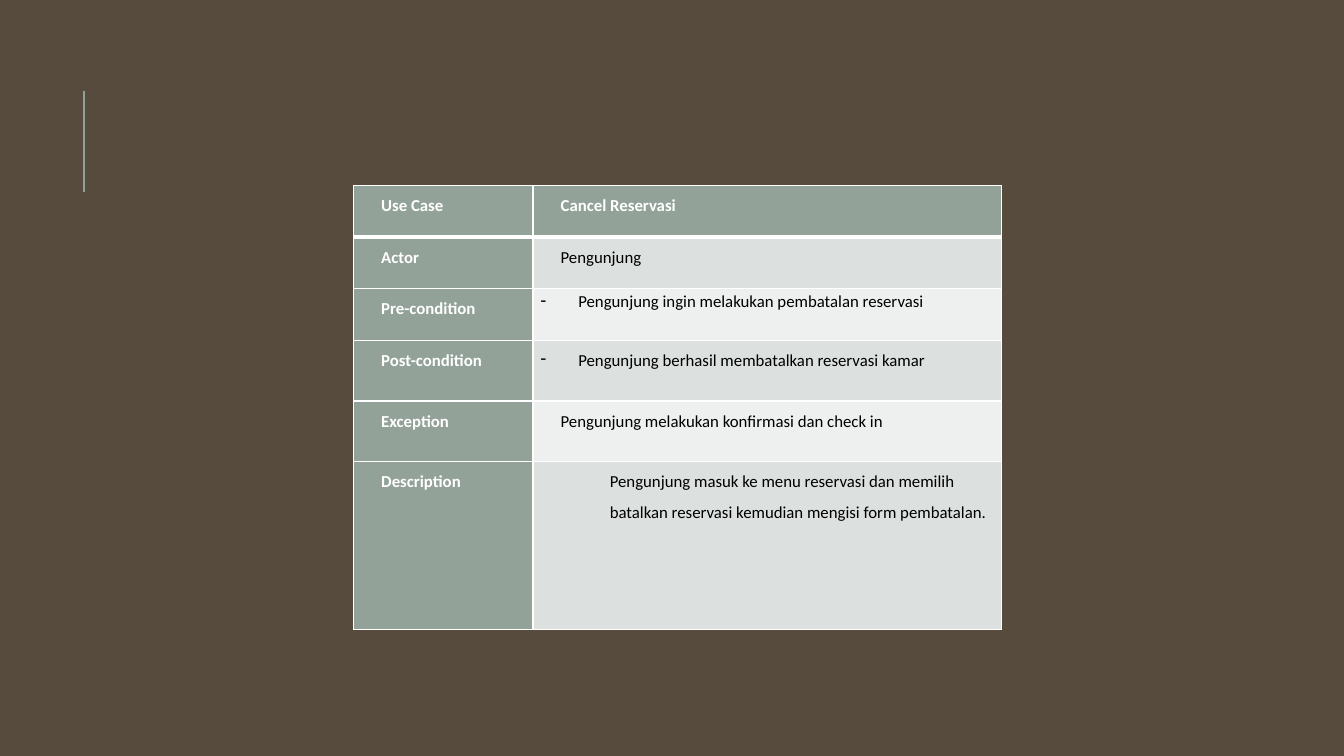
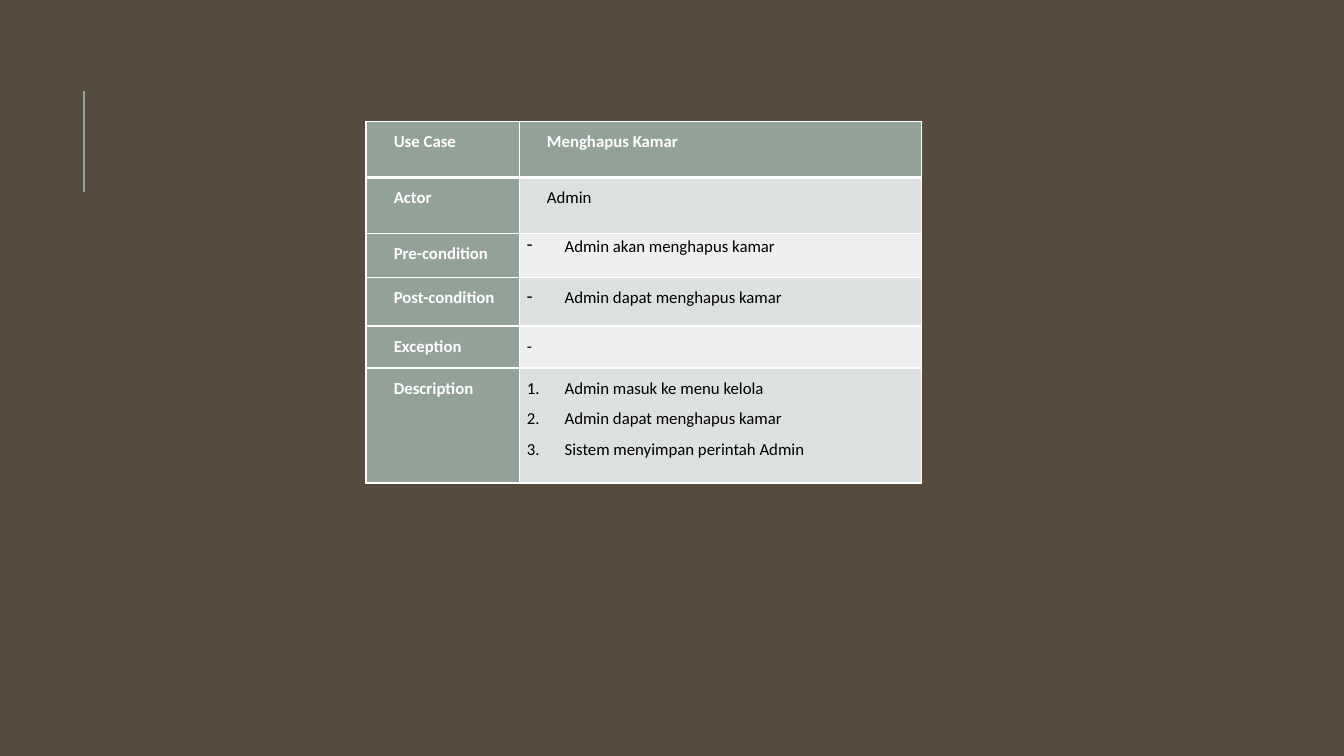
from pptx import Presentation
from pptx.util import Pt
from pptx.dml.color import RGBColor as RGB
from pptx.enum.shapes import MSO_CONNECTOR as Conn
from pptx.enum.text import PP_ALIGN as Align
from pptx.oxml.ns import qn
from lxml.etree import SubElement as Sub

BROWN = RGB(0x56, 0x4B, 0x3C)
SAGE = RGB(0x93, 0xA2, 0x99)
DARK = RGB(0xDC, 0xE0, 0xDE)
LIGHT = RGB(0xEE, 0xF0, 0xEF)
WHITE = RGB(255, 255, 255)
BLACK = RGB(0, 0, 0)

LABELS = ["Use Case", "Actor", "Pre-condition", "Post-condition", "Exception", "Description"]

STYLES = {
    "plain": (36, -21.6, 1.5, Align.JUSTIFY, None),
    "tight": (27, -27, 1.15, Align.JUSTIFY, ("buChar", {"char": "-"})),
    "dash": (27, -27, 1.5, Align.JUSTIFY, ("buChar", {"char": "-"})),
    "number": (27, -27, 1.5, Align.JUSTIFY, ("buAutoNum", {"type": "arabicPeriod"})),
    "edge": (27, -27, 1.5, Align.JUSTIFY, None),
    "block": (49.5, 0, 1.5, Align.LEFT, None),
}

CASES = [
    {
        "left": 252.5, "top": 132.5,
        "cols": [128.2, 334.8],
        "rows": [36.9, 36.9, 36.9, 43.3, 43.3, 119.7],
        "values": [
            ("plain", ["Cancel Reservasi"]),
            ("plain", ["Pengunjung"]),
            ("tight", ["Pengunjung ingin melakukan pembatalan reservasi"]),
            ("dash", ["Pengunjung berhasil membatalkan reservasi kamar"]),
            ("plain", ["Pengunjung melakukan konfirmasi dan check in"]),
            ("block", ["Pengunjung masuk ke menu reservasi dan memilih batalkan "
                       "reservasi kemudian mengisi form pembatalan."]),
        ],
    },
    {
        "left": 261.5, "top": 86.5,
        "cols": [109.4, 287.3],
        "rows": [40.2, 40.2, 31.5, 34.5, 30, 82.2],
        "values": [
            ("plain", ["Menghapus Kamar"]),
            ("plain", ["Admin"]),
            ("tight", ["Admin akan menghapus kamar"]),
            ("dash", ["Admin dapat menghapus kamar"]),
            ("edge", ["-"]),
            ("number", ["Admin masuk ke menu kelola",
                        "Admin dapat menghapus kamar",
                        "Sistem menyimpan perintah Admin"]),
        ],
    },
]


def add_rule(slide):
    rule = slide.shapes.add_connector(Conn.STRAIGHT, Pt(60), Pt(137), Pt(60), Pt(65))
    rule.line.color.rgb = SAGE
    rule.line.width = Pt(1.5)
    Sub(rule._element.spPr, qn("a:effectLst"))


def set_edges(cell, row):
    props = cell._tc.get_or_add_tcPr()
    thick = {(0, "lnB"), (1, "lnT")}
    for side in ("lnL", "lnR", "lnT", "lnB"):
        width = 3 if (row, side) in thick else 1
        edge = Sub(props, qn("a:" + side), w=str(Pt(width)))
        fill = Sub(edge, qn("a:solidFill"))
        Sub(fill, qn("a:srgbClr"), val=str(WHITE))


def fill_cell(cell, row, style, lines, fill, color, bold):
    set_edges(cell, row)
    cell.fill.solid()
    cell.fill.fore_color.rgb = fill
    cell.margin_left = cell.margin_right = Pt(5.4)
    cell.margin_top = cell.margin_bottom = 0
    margin, indent, space, align, mark = STYLES[style]
    frame = cell.text_frame
    frame.text = "\n".join(lines)
    for para in frame.paragraphs:
        para.alignment = align
        para.line_spacing = space
        props = para._p.get_or_add_pPr()
        props.set("marL", str(Pt(margin)))
        props.set("indent", str(Pt(indent)))
        if mark:
            Sub(props, qn("a:" + mark[0]), **mark[1])
        font = para.font
        font.name, font.size, font.bold = "Calibri", Pt(12), bold
        font.color.rgb = color


def add_case(slide, case):
    cols, rows = case["cols"], case["rows"]
    table = slide.shapes.add_table(
        len(rows), len(cols), Pt(case["left"]), Pt(case["top"]),
        Pt(sum(cols)), Pt(sum(rows))).table
    table.first_row = table.horz_banding = False
    for col, width in zip(table.columns, cols):
        col.width = Pt(width)
    for row, height in zip(table.rows, rows):
        row.height = Pt(height)
    for row, (label, (style, lines)) in enumerate(zip(LABELS, case["values"])):
        head = row == 0
        band = SAGE if head else DARK if row % 2 else LIGHT
        fill_cell(table.cell(row, 0), row, "plain", [label], SAGE, WHITE, True)
        fill_cell(table.cell(row, 1), row, style, lines, band,
                  WHITE if head else BLACK, head)


def main():
    prs = Presentation()
    prs.slide_width, prs.slide_height = Pt(960), Pt(540)
    back = prs.slide_master.background.fill
    back.solid()
    back.fore_color.rgb = BROWN
    for case in CASES:
        slide = prs.slides.add_slide(prs.slide_layouts[6])
        add_rule(slide)
        add_case(slide, case)
    prs.save("out.pptx")


if __name__ == "__main__":
    main()
